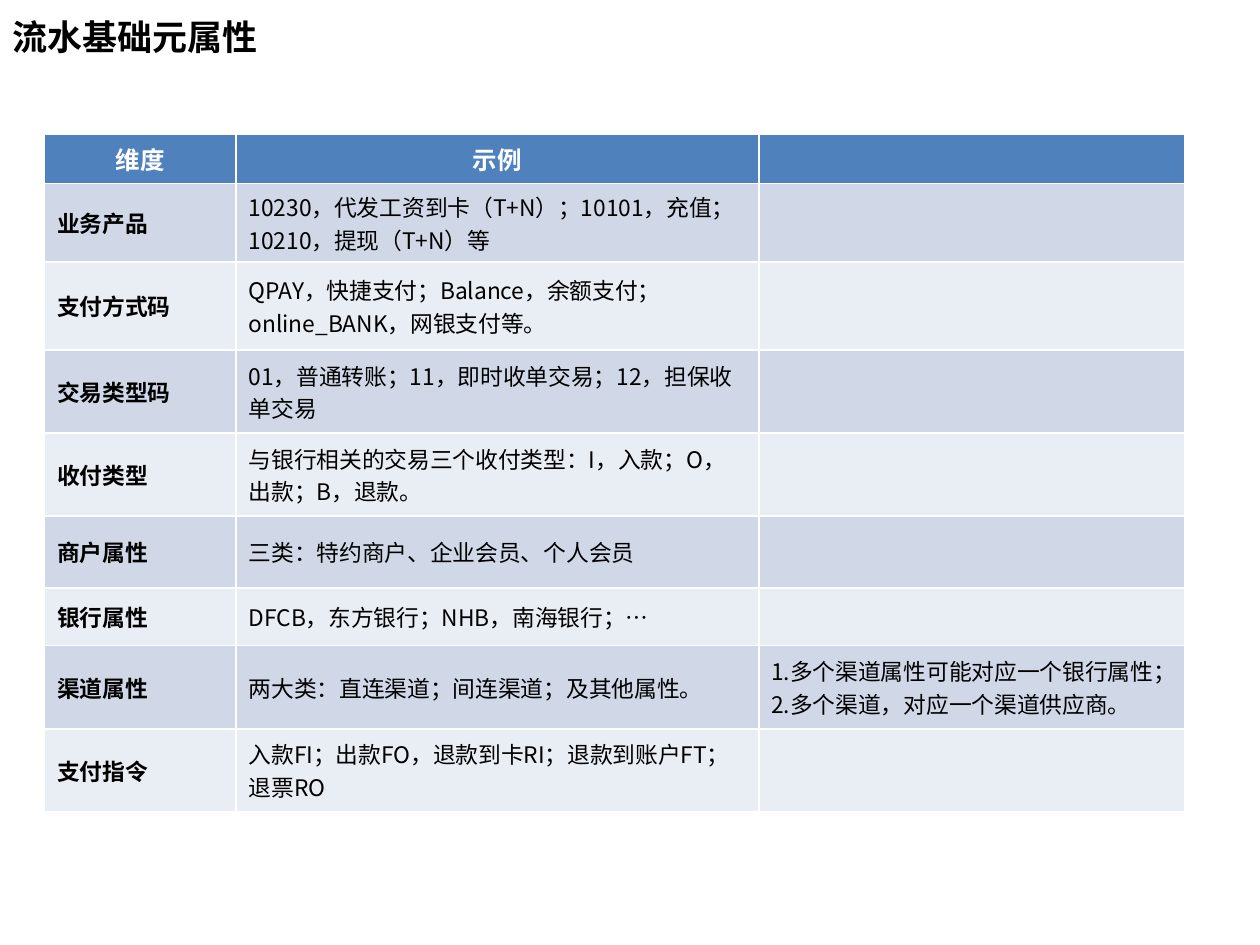
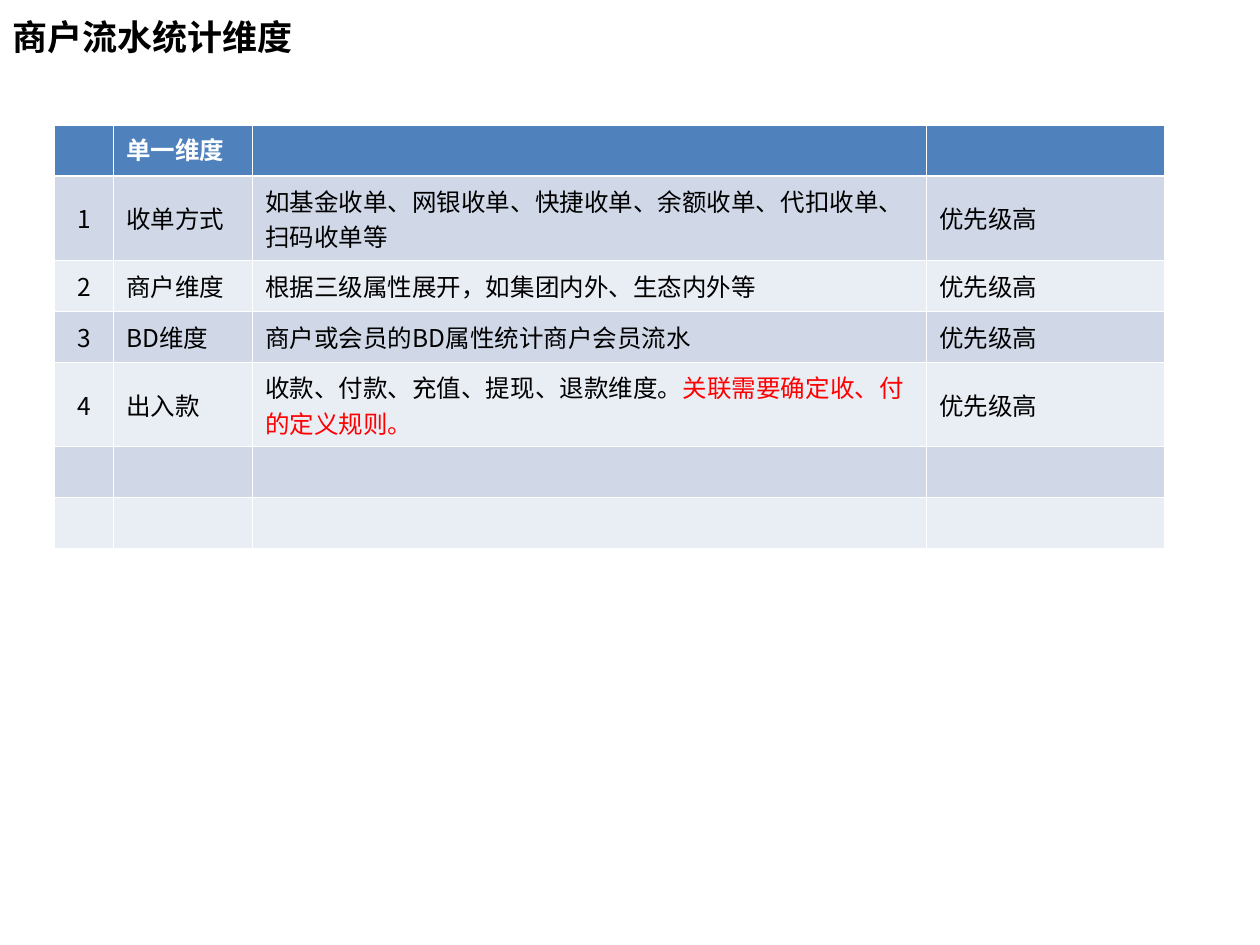
import pptx
import pptx.util
import pptx.dml.color
import pptx.enum.text
import pptx.oxml.ns
import lxml.etree

Pt = pptx.util.Pt
ALIGN = pptx.enum.text.PP_ALIGN
ANCHOR = pptx.enum.text.MSO_ANCHOR

FONT = "Noto Sans CJK SC"
BLACK, WHITE, RED = "000000", "FFFFFF", "FF0000"
HEADER_FILL = "4F81BD"
BAND_FILLS = ("E9EDF4", "D0D8E8")

PRIORITY = "优先级高"

ATTRIBUTE_ROWS = [
    ("维度", "示例", ""),
    ("业务产品", "10230，代发工资到卡（T+N）；10101，充值；10210，提现（T+N）等", ""),
    ("支付方式码", "QPAY，快捷支付；Balance，余额支付；online_BANK，网银支付等。", ""),
    ("交易类型码", "01，普通转账；11，即时收单交易；12，担保收单交易", ""),
    ("收付类型", "与银行相关的交易三个收付类型：I，入款；O，出款；B，退款。", ""),
    ("商户属性", "三类：特约商户、企业会员、个人会员", ""),
    ("银行属性", "DFCB，东方银行；NHB，南海银行；…", ""),
    ("渠道属性", "两大类：直连渠道；间连渠道；及其他属性。",
     "1.多个渠道属性可能对应一个银行属性；\n2.多个渠道，对应一个渠道供应商。"),
    ("支付指令", "入款FI；出款FO，退款到卡RI；退款到账户FT；退票RO", ""),
]

DIMENSION_ROWS = [
    ("", "单一维度", "", ""),
    ("1", "收单方式", "如基金收单、网银收单、快捷收单、余额收单、代扣收单、扫码收单等", PRIORITY),
    ("2", "商户维度", "根据三级属性展开，如集团内外、生态内外等", PRIORITY),
    ("3", "BD维度", "商户或会员的BD属性统计商户会员流水", PRIORITY),
    ("4", "出入款", "收款、付款、充值、提现、退款维度。", PRIORITY),
    ("", "", "", ""),
    ("", "", "", ""),
]


def rgb(hex_colour):
    return pptx.dml.color.RGBColor.from_string(hex_colour)


class Deck:
    """Holds the presentation, its style and the current slide."""

    def __init__(self):
        self.prs = pptx.Presentation()
        self.prs.slide_width, self.prs.slide_height = Pt(720), Pt(540)
        self.s = None

    def style(self, p, size, colour=BLACK, bold=False, align=ALIGN.LEFT):
        p.alignment = align
        f = p.font
        f.size, f.bold, f.name = Pt(size), bold, FONT
        f.color.rgb = rgb(colour)
        latin = p._p.pPr.find(".//" + pptx.oxml.ns.qn("a:latin"))
        ea = lxml.etree.Element(pptx.oxml.ns.qn("a:ea"), typeface=FONT)
        latin.addnext(ea)
        if not p.runs:  # an empty paragraph takes its height from its end mark
            p._p.get_or_add_endParaRPr().set("sz", str(size * 100))

    def slide(self, title):
        self.s = self.prs.slides.add_slide(self.prs.slide_layouts[5])
        sp = self.s.shapes.title
        sp.left, sp.top, sp.width, sp.height = Pt(0), Pt(-1), Pt(530), Pt(44)
        tf = sp.text_frame
        tf.text = title
        tf.vertical_anchor = ANCHOR.MIDDLE
        self.style(tf.paragraphs[0], 20, bold=True)

    def cell(self, cell, text, fill, anchor=ANCHOR.MIDDLE, **style):
        cell.text = text
        cell.vertical_anchor = anchor
        cell.fill.solid()
        cell.fill.fore_color.rgb = rgb(fill)
        for p in cell.text_frame.paragraphs:
            self.style(p, **style)

    def table(self, left, top, widths, heights, rows, size, head_align=ALIGN.LEFT,
              head_anchor=ANCHOR.MIDDLE, first_column=None):
        """Add a banded table; first_column overrides the text style of column one."""
        tbl = self.s.shapes.add_table(len(rows), len(widths), Pt(left), Pt(top),
                                      Pt(sum(widths)), Pt(sum(heights))).table
        for column, width in zip(tbl.columns, widths):
            column.width = Pt(width)
        for i, (row, height) in enumerate(zip(rows, heights)):
            tbl.rows[i].height = Pt(height)
            for j, text in enumerate(row):
                if i == 0:
                    self.cell(tbl.cell(i, j), text, HEADER_FILL, head_anchor, size=14,
                              colour=WHITE, bold=True, align=head_align)
                else:
                    style = first_column if j == 0 and first_column else {}
                    self.cell(tbl.cell(i, j), text, BAND_FILLS[i % 2], size=size, **style)
        return tbl

    def add_run(self, cell, text, colour):
        r = cell.text_frame.paragraphs[0].add_run()
        r.text = text
        r.font.color.rgb = rgb(colour)


def main():
    deck = Deck()

    deck.slide("流水基础元属性")
    deck.table(25.5, 77, (109.4, 298.7, 243.6),
               (28, 40.3, 50.4, 47.5, 47.5, 41, 33, 47.5, 47.5),
               ATTRIBUTE_ROWS, 13, head_align=ALIGN.CENTER,
               first_column={"bold": True})

    deck.slide("商户流水统计维度")
    tbl = deck.table(31.2, 71.5, (33.8, 79.3, 385.3, 136), [29.2] * len(DIMENSION_ROWS),
                     DIMENSION_ROWS, 14, head_anchor=ANCHOR.TOP,
                     first_column={"align": ALIGN.CENTER})
    deck.add_run(tbl.cell(4, 2), "关联需要确定收、付的定义规则。", RED)

    deck.prs.save("out.pptx")


if __name__ == "__main__":
    main()
